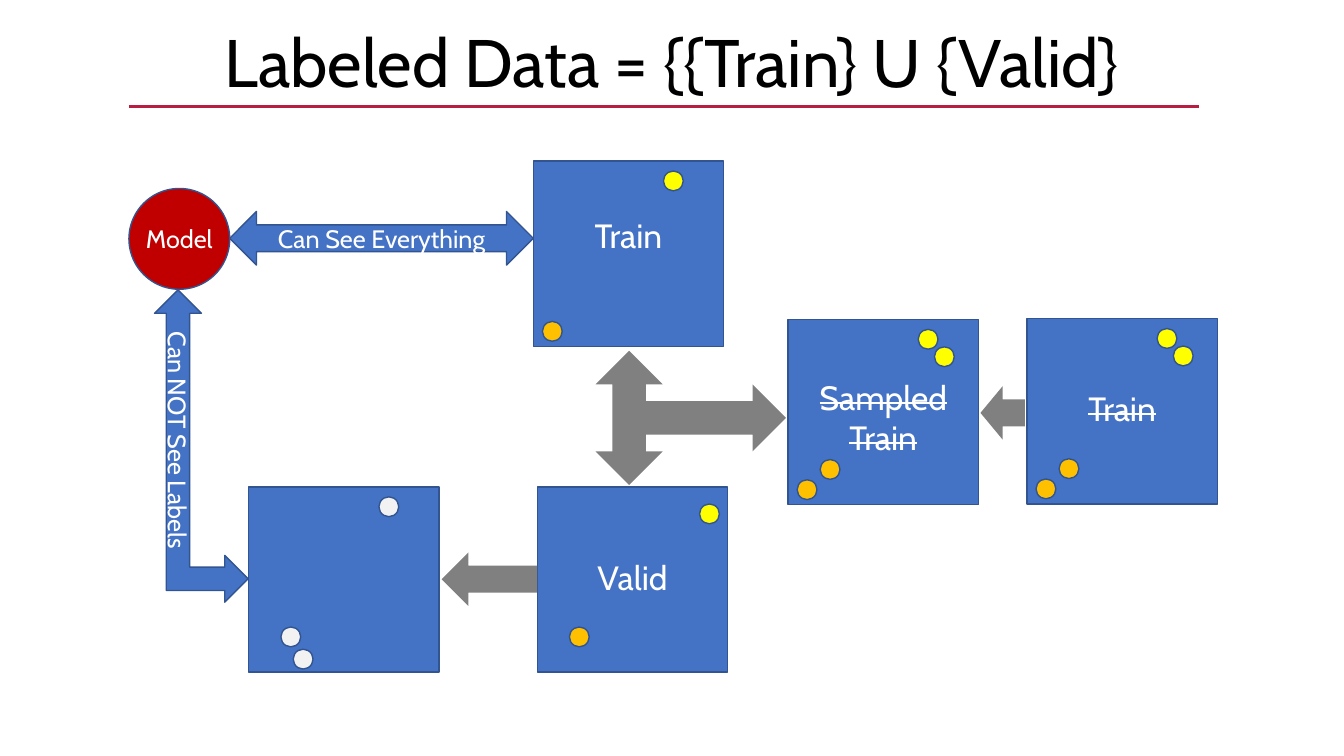
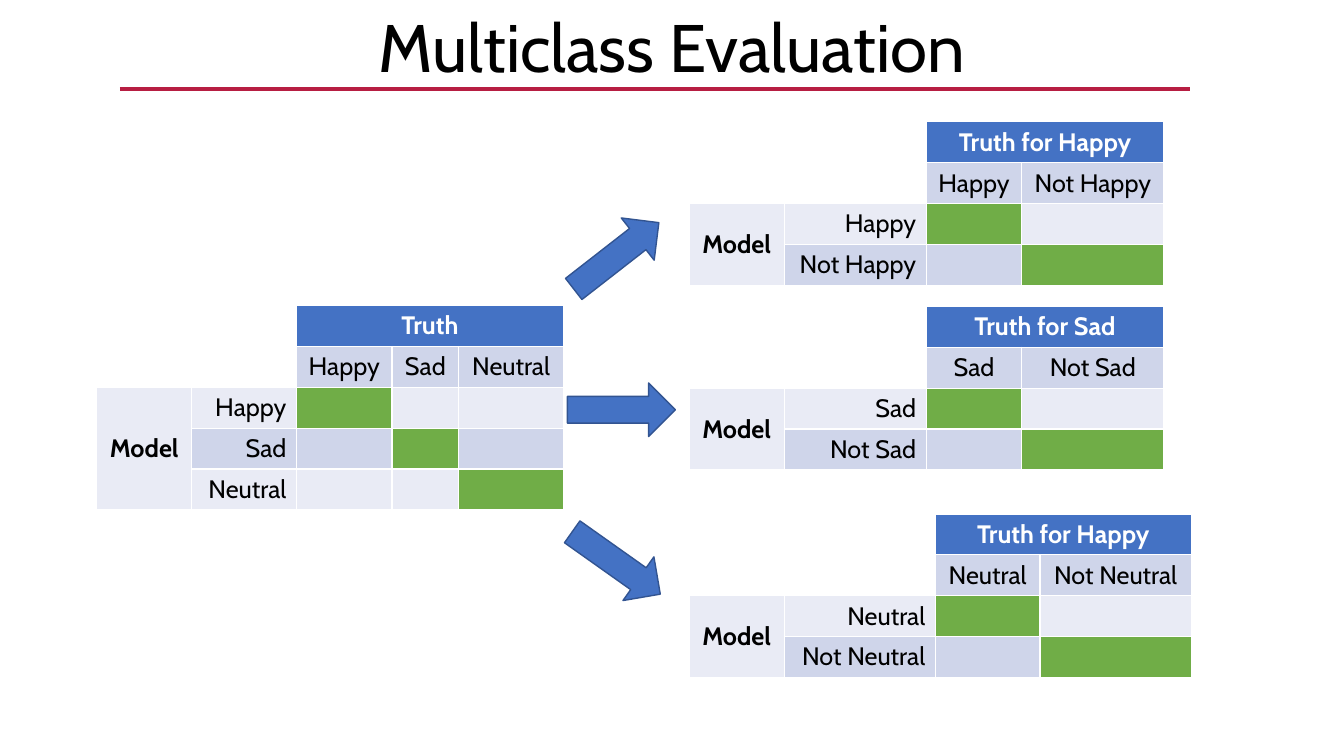
from lxml import etree
from pptx import Presentation, util as u
from pptx.dml.color import RGBColor
from pptx.enum import shapes, text
from pptx.oxml.ns import qn

Cm, Pt = u.Cm, u.Pt
KIND, ALIGN, ANCHOR = shapes.MSO_SHAPE, text.PP_ALIGN, text.MSO_ANCHOR
FONT = "Cabin"
BLACK = RGBColor(0x00, 0x00, 0x00)
WHITE = RGBColor(0xFF, 0xFF, 0xFF)
CRIMSON = RGBColor(0xB7, 0x1E, 0x42)
BLUE = RGBColor(0x44, 0x72, 0xC4)
NAVY = RGBColor(0x32, 0x54, 0x91)
RED = RGBColor(0xC0, 0x00, 0x00)
YELLOW = RGBColor(0xFF, 0xFF, 0x00)
ORANGE = RGBColor(0xFF, 0xC0, 0x00)
PALE = RGBColor(0xF2, 0xF2, 0xF2)
GRAY = RGBColor(0x80, 0x80, 0x80)
GREEN = RGBColor(0x70, 0xAD, 0x47)
LIGHT = RGBColor(0xE9, 0xEB, 0xF5)
DARK = RGBColor(0xCF, 0xD5, 0xEA)


def write(frame, words, size=18, color=WHITE, align=ALIGN.CENTER, bold=False):
    frame.word_wrap = True
    para = frame.paragraphs[0]
    para.text = words
    para.alignment = align
    font = para.font
    font.name, font.size, font.bold = FONT, Pt(size), bold
    font.color.rgb = color
    return para


def draw(slide, kind, box, fill, line=NAVY, turn=0):
    shape = slide.shapes.add_shape(kind, *map(Cm, box))
    shape.shadow.inherit = False
    shape.rotation = turn
    shape.fill.solid()
    shape.fill.fore_color.rgb = fill
    if line is None:
        shape.line.fill.background()
    else:
        shape.line.color.rgb = line
        shape.line.width = Pt(1)
    return shape


deck = Presentation()
deck.slide_width, deck.slide_height = Cm(33.87), Cm(19.05)

titles = [
    ("Labeled Data = {{Train} U {Valid}", 0.38, 3.25, 2.69),
    ("Multiclass Evaluation", 0, 3.02, 2.24),
]
for title, top, left, low in titles:
    slide = deck.slides.add_slide(deck.slide_layouts[6])
    box = slide.shapes.add_textbox(0, Cm(top), deck.slide_width, Cm(2.31))
    write(box.text_frame, title, 48, BLACK)
    rule = slide.shapes.add_connector(
        shapes.MSO_CONNECTOR.STRAIGHT, Cm(left), Cm(low), Cm(left + 26.96), Cm(low))
    rule.line.color.rgb = CRIMSON
    rule.line.width = Pt(2.5)
    etree.SubElement(rule._element.spPr, qn("a:effectLst"))

split, score = deck.slides

WIDE, HIGH, DOT = 4.8, 4.67, 0.5
full = [(3.28, 0.25, YELLOW), (3.69, 0.69, YELLOW), (0.81, 3.53, ORANGE), (0.23, 4.04, ORANGE)]
sets = [
    ("Train", 25.88, 8.03, 1.63, True, full),
    ("Sampled Train", 19.86, 8.05, 1.32, True, full),
    ("Train", 13.44, 4.06, 1.24, False, [full[0], full[3]]),
    ("Valid", 13.54, 12.27, 1.63, False, [(4.09, 0.43, YELLOW), full[2]]),
    ("", 6.27, 12.27, 0, False,
     [(3.28, 0.25, PALE), (0.81, 3.53, PALE), (1.12, 4.09, PALE)]),
]
for name, left, top, drop, struck, dots in sets:
    draw(split, KIND.RECTANGLE, (left, top, WIDE, HIGH), BLUE)
    for x, y, color in dots:
        draw(split, KIND.OVAL, (left + x, top + y, DOT, DOT), color)
    if name:
        label = split.shapes.add_textbox(Cm(left), Cm(top + drop), Cm(WIDE), Cm(1.28))
        para = write(label.text_frame, name, 24)
        if struck:
            para.runs[0]._r.get_or_add_rPr().set("strike", "sngStrike")

draw(split, KIND.LEFT_RIGHT_UP_ARROW, (15.72, 8.13, 3.38, 4.8), GRAY, None, 90)
draw(split, KIND.LEFT_ARROW, (24.71, 9.73, 1.12, 1.35), GRAY, None)
draw(split, KIND.LEFT_ARROW, (11.13, 13.92, 2.41, 1.35), GRAY, None)

model = draw(split, KIND.OVAL, (3.25, 4.75, 2.54, 2.54), RED)
frame = model.text_frame
frame.margin_left = frame.margin_right = frame.margin_top = frame.margin_bottom = 0
write(frame, "Model")
sees = draw(split, KIND.LEFT_RIGHT_ARROW, (5.79, 5.33, 7.65, 1.35), BLUE)
write(sees.text_frame, "Can See Everything")
blind = draw(split, KIND.LEFT_UP_ARROW, (1.14, 10.06, 7.87, 2.36), BLUE, turn=90)
write(blind.text_frame, "Can NOT See Labels")

ROW, SIDE = 1.03, 2.39
grids = [
    (2.44, 7.7, "Truth", ["Happy", "Sad", "Neutral"], [2.41, 1.68, 2.64]),
    (17.37, 3.07, "Truth for Happy", ["Happy", "Not Happy"], [2.41, 3.58]),
    (17.37, 7.72, "Truth for Sad", ["Sad", "Not Sad"], [2.41, 3.58]),
    (17.37, 12.95, "Truth for Happy", ["Neutral", "Not Neutral"], [2.64, 3.81]),
]
for left, top, title, names, widths in grids:
    widths = [SIDE, max(widths), *widths]
    rows, cols = len(names) + 2, len(widths)
    table = score.shapes.add_table(
        rows, cols, Cm(left), Cm(top), Cm(sum(widths)), Cm(ROW * rows)).table
    for col, width in zip(table.columns, widths):
        col.width = Cm(width)
    for r in range(rows):
        table.rows[r].height = Cm(ROW)
        for c in range(cols):
            if r < 2 and c < 2:
                color = WHITE
            elif r == 0:
                color = BLUE
            elif r == c:
                color = GREEN
            else:
                color = DARK if r % 2 and c else LIGHT
            fill = table.cell(r, c).fill
            fill.solid()
            fill.fore_color.rgb = color
    head, side = table.cell(0, 2), table.cell(2, 0)
    head.merge(table.cell(0, cols - 1))
    side.merge(table.cell(rows - 1, 0))
    side.vertical_anchor = ANCHOR.MIDDLE
    write(head.text_frame, title, bold=True)
    write(side.text_frame, "Model", color=BLACK, bold=True)
    for i, name in enumerate(names, 2):
        write(table.cell(1, i).text_frame, name, color=BLACK)
        write(table.cell(i, 1).text_frame, name, color=BLACK, align=ALIGN.RIGHT)

for left, top, turn in [(14.17, 5.77, 142.1), (14.3, 9.65, 180), (14.17, 13.51, 215.3)]:
    draw(score, KIND.LEFT_ARROW, (left, top, 2.72, 1.35), BLUE, turn=turn)

deck.save("out.pptx")
